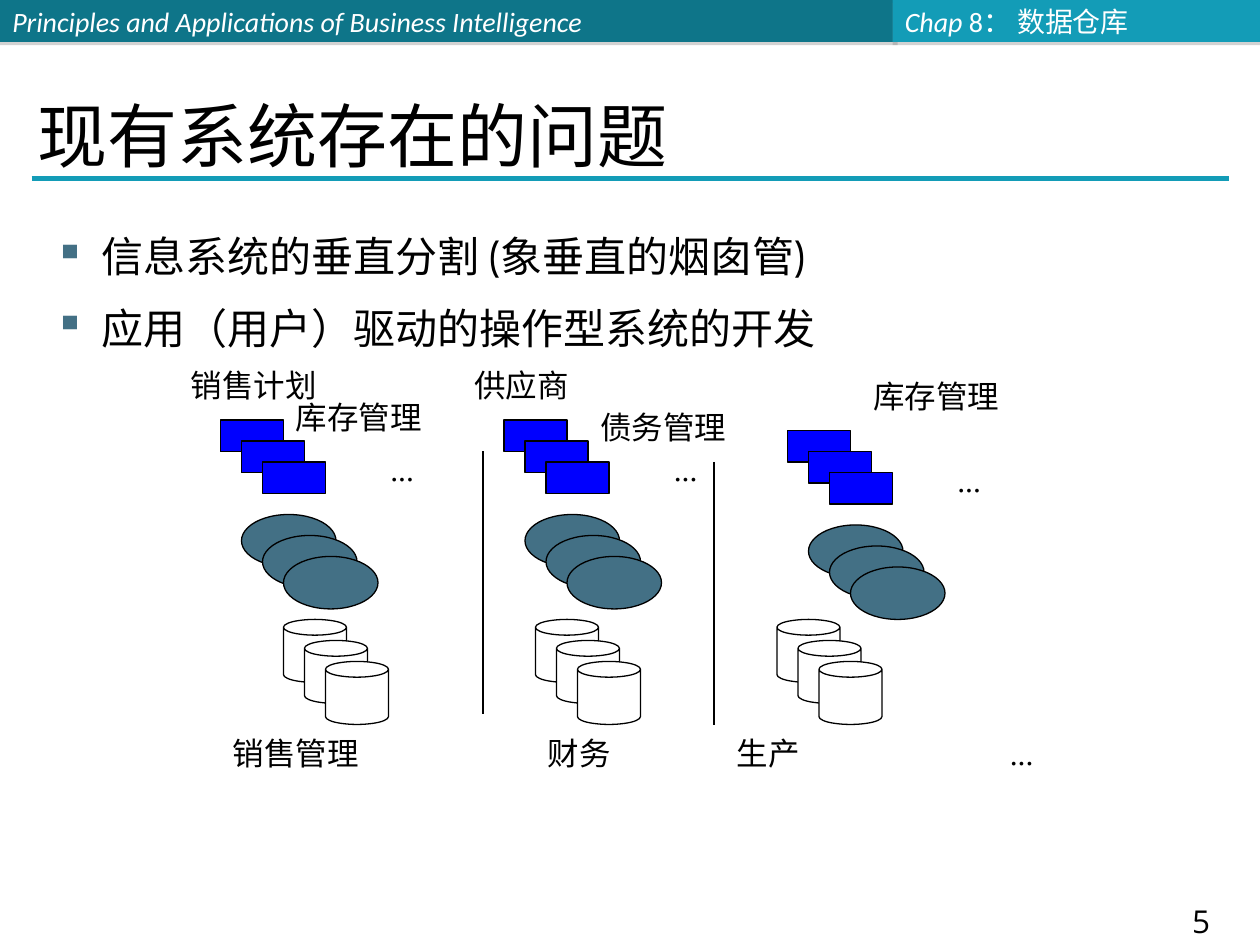
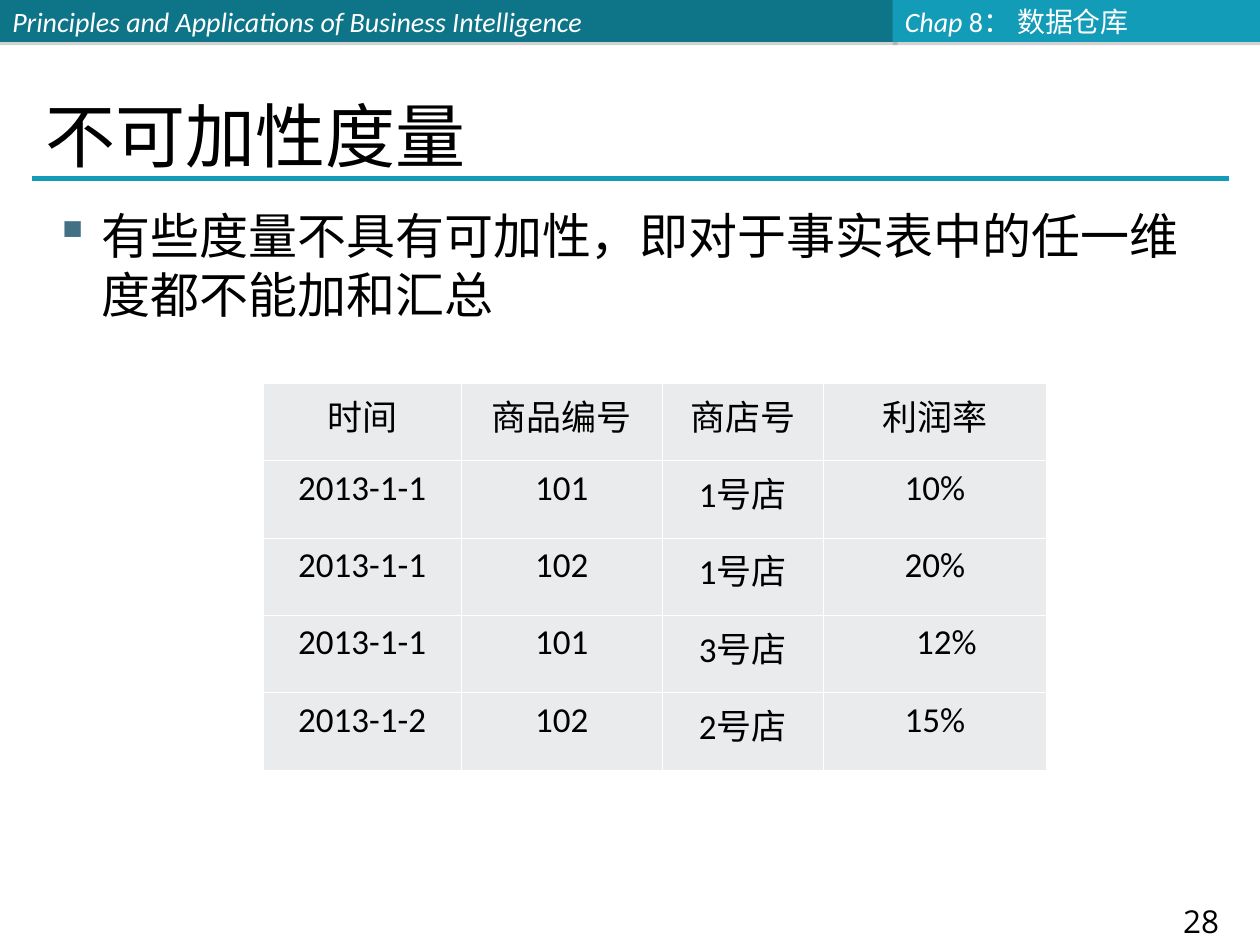
"""Build two data-warehouse slides: isolated systems and non-additive measures."""
import pptx
import pptx.util
import pptx.dml.color
import pptx.enum.shapes
import pptx.enum.text
import pptx.oxml
import pptx.oxml.ns

Pt = pptx.util.Pt
SHAPE = pptx.enum.shapes.MSO_SHAPE
ALIGN = pptx.enum.text.PP_ALIGN
ANCHOR = pptx.enum.text.MSO_ANCHOR
CELL = pptx.util.Inches(10) // 120
COLOURS = {
    "band": "0E7589", "accent": "139CB7", "process": "0000FF", "slate": "437085",
    "table": "E9EBED", "white": "FFFFFF", "black": "000000", "shadow": "808080",
}
CJK_FONT = "Noto Sans CJK SC"
TITLE = {"name": CJK_FONT, "size": Pt(40)}
HEADER = {"name": "Calibri", "size": Pt(16)}
LABEL = {"name": "Times New Roman", "size": Pt(18)}
NUMBER = {"name": "Open Sans", "size": Pt(18)}
TABLE = {"name": "Calibri", "size": Pt(20)}
STACKS = [
    (SHAPE.CAN, "white", 6, 6, [(27, 59), (51, 59), (74, 59)]),
    (SHAPE.OVAL, "slate", 9, 5, [(23, 49), (50, 49), (77, 50)]),
    (SHAPE.FLOWCHART_PROCESS, "process", 6, 3, [(21, 40), (48, 40), (75, 41)]),
]
LABELS = [
    ("销售计划", 17, 34), ("库存管理", 27, 37), ("...", 36, 42),
    ("供应商", 44, 34), ("债务管理", 56, 38), ("...", 63, 42),
    ("库存管理", 82, 35), ("...", 90, 43),
    ("销售管理", 21, 69), ("财务", 51, 69), ("生产", 69, 69), ("...", 95, 69),
]
PROFIT_ROWS = [
    ("时间", "商品编号", "商店号", "利润率"),
    ("2013-1-1", "101", "1号店", "10%"),
    ("2013-1-1", "102", "1号店", "20%"),
    ("2013-1-1", "101", "3号店", "12%"),
    ("2013-1-2", "102", "2号店", "15%"),
]


def grid(*cells):
    """Turn grid cells (120 columns by 90 rows) into lengths."""
    return [round(cell * CELL) for cell in cells]


def rgb(colour):
    """Look up a named colour."""
    return pptx.dml.color.RGBColor.from_string(COLOURS[colour])


def xml(tag, attributes="", inner=""):
    """Make one DrawingML element."""
    namespace = pptx.oxml.ns.nsdecls("a")
    return pptx.oxml.parse_xml(f"<a:{tag} {namespace} {attributes}>{inner}</a:{tag}>")


def write(paragraph, text, style, colour="black", italic=False):
    """Add a run with its Latin and East Asian fonts."""
    run = paragraph.add_run()
    run.text = text
    for attribute, value in {**style, "italic": italic}.items():
        setattr(run.font, attribute, value)
    run.font.color.rgb = rgb(colour)
    run.font._element.append(xml("ea", f'typeface="{CJK_FONT}"'))


def add_text(slide, lines, box, style, anchor=ANCHOR.TOP, align=ALIGN.LEFT, bullets=False):
    """Place a text box with an even line pitch."""
    place = grid(*box)
    place[1] += style["size"] // 10
    frame = slide.shapes.add_textbox(*place).text_frame
    frame.word_wrap = True
    frame.vertical_anchor = anchor
    for index, line in enumerate(lines):
        paragraph = frame.paragraphs[0] if index == 0 else frame.add_paragraph()
        if bullets:
            add_bullet(paragraph)
        paragraph.alignment = align
        paragraph.line_spacing = Pt(style["size"].pt * 1.2)
        if index:
            paragraph.space_before = Pt(12)
        write(paragraph, line, style)


def add_bullet(paragraph):
    """Give a paragraph a square bullet and a hanging indent."""
    properties = paragraph._p.get_or_add_pPr()
    indent = grid(4.5)[0]
    properties.set("marL", str(indent))
    properties.set("indent", str(-indent))
    properties.append(xml("buClr", "", f'<a:srgbClr val="{COLOURS["slate"]}"/>'))
    properties.append(xml("buChar", 'char="▪"'))


def add_figure(slide, kind, box, fill, outline=None):
    """Draw a filled preset shape without the theme's shadow."""
    figure = slide.shapes.add_shape(kind, *grid(*box))
    figure.shadow.inherit = False
    figure.fill.solid()
    figure.fill.fore_color.rgb = rgb(fill)
    if outline:
        figure.line.color.rgb = rgb(outline)
        figure.line.width = Pt(0.75)
    else:
        figure.line.fill.background()
    return figure


def add_rule(slide, ends, colour, width):
    """Draw a straight line between two grid points."""
    rule = slide.shapes.add_connector(
        pptx.enum.shapes.MSO_CONNECTOR.STRAIGHT, *grid(*ends))
    rule.line.color.rgb = rgb(colour)
    rule.line.width = Pt(width)
    rule._element.spPr.append(xml("effectLst"))


def add_band(slide, left, width, fill, parts):
    """Draw a header band with a soft shadow and its wording."""
    band = add_figure(slide, SHAPE.RECTANGLE, (left, 0, width, 4), fill)
    shade = f'<a:srgbClr val="{COLOURS["shadow"]}"><a:alpha val="35000"/></a:srgbClr>'
    band._element.spPr.find(pptx.oxml.ns.qn("a:effectLst")).append(
        xml("outerShdw", f'dist="{Pt(1.8)}" dir="5400000" rotWithShape="0"', shade))
    band.text_frame.vertical_anchor = ANCHOR.MIDDLE
    paragraph = band.text_frame.paragraphs[0]
    paragraph.alignment = ALIGN.LEFT
    for text, italic in parts:
        write(paragraph, text, HEADER, "white", italic)


def start_slide(deck, title, title_left, number):
    """Add a slide with the bands, title, rule and number all slides share."""
    slide = deck.slides.add_slide(deck.slide_layouts[6])
    add_band(slide, 0, 85.5, "band",
             [("Principles and Applications of Business Intelligence", True)])
    add_band(slide, 85, 35.25, "accent", [("Chap ", True), ("8： 数据仓库", False)])
    add_text(slide, [number], (108.4, 85, 12, 4.5), NUMBER, align=ALIGN.CENTER)
    add_rule(slide, (3, 17, 117, 17), "accent", 3)
    add_text(slide, [title], (title_left, 5.7, 111, 11), TITLE, ANCHOR.BOTTOM)
    return slide


def add_stack(slide, kind, fill, width, height, left, top):
    """Draw three overlapping figures, each two cells further down and right."""
    for shift in (0, 2, 4):
        add_figure(slide, kind, (left + shift, top + shift, width, height), fill, "black")


def add_profit_table(slide, left, top, widths, row_height):
    """Draw the profit-rate table with thin white borders."""
    box = grid(left, top, sum(widths), row_height * len(PROFIT_ROWS))
    table = slide.shapes.add_table(len(PROFIT_ROWS), len(widths), *box).table
    table.first_row = table.horz_banding = False
    for column, width in zip(table.columns, widths):
        column.width = grid(width)[0]
    border = f'<a:solidFill><a:srgbClr val="{COLOURS["white"]}"/></a:solidFill>'
    for row, values in enumerate(PROFIT_ROWS):
        for column, value in enumerate(values):
            cell = table.cell(row, column)
            cell.margin_left = grid(2.7 if value == "12%" else 0.5)[0]
            cell.margin_right = grid(0.5)[0]
            for side in "LRTB":
                cell._tc.get_or_add_tcPr().append(xml(f"ln{side}", f'w="{Pt(0.45)}"', border))
            cell.fill.solid()
            cell.fill.fore_color.rgb = rgb("table")
            paragraph = cell.text_frame.paragraphs[0]
            paragraph.alignment = ALIGN.CENTER
            write(paragraph, value, TABLE)


def build_systems_slide(deck):
    """Show departments whose systems stand apart."""
    slide = start_slide(deck, "现有系统存在的问题", 2.4, "5")
    add_text(slide, ["信息系统的垂直分割 (象垂直的烟囱管)", "应用（用户）驱动的操作型系统的开发"],
             (4, 21, 113, 31), {"name": "Cabin", "size": Pt(24)}, bullets=True)
    for kind, fill, width, height, corners in STACKS:
        for left, top in corners:
            add_stack(slide, kind, fill, width, height, left, top)
    for column, top in ((46, 43), (68, 44)):
        add_rule(slide, (column, top, column, top + 25), "black", 0.75)
    for text, left, top in LABELS:
        add_text(slide, [text], (left, top, 16, 4.8), LABEL)


def build_measures_slide(deck):
    """Show a measure that cannot be summed."""
    slide = start_slide(deck, "不可加性度量", 3.2, "28")
    add_text(slide, ["有些度量不具有可加性，即对于事实表中的任一维度都不能加和汇总"],
             (4, 18.5, 112, 64), {"name": "Times New Roman", "size": Pt(28)}, bullets=True)
    add_profit_table(slide, 25.1, 36.5, (18.8, 19.2, 15.3, 21.3), 7.37)


def main():
    """Build and save the deck."""
    deck = pptx.Presentation()
    deck.slide_width, deck.slide_height = grid(120, 90)
    build_systems_slide(deck)
    build_measures_slide(deck)
    deck.save("out.pptx")


if __name__ == "__main__":
    main()
